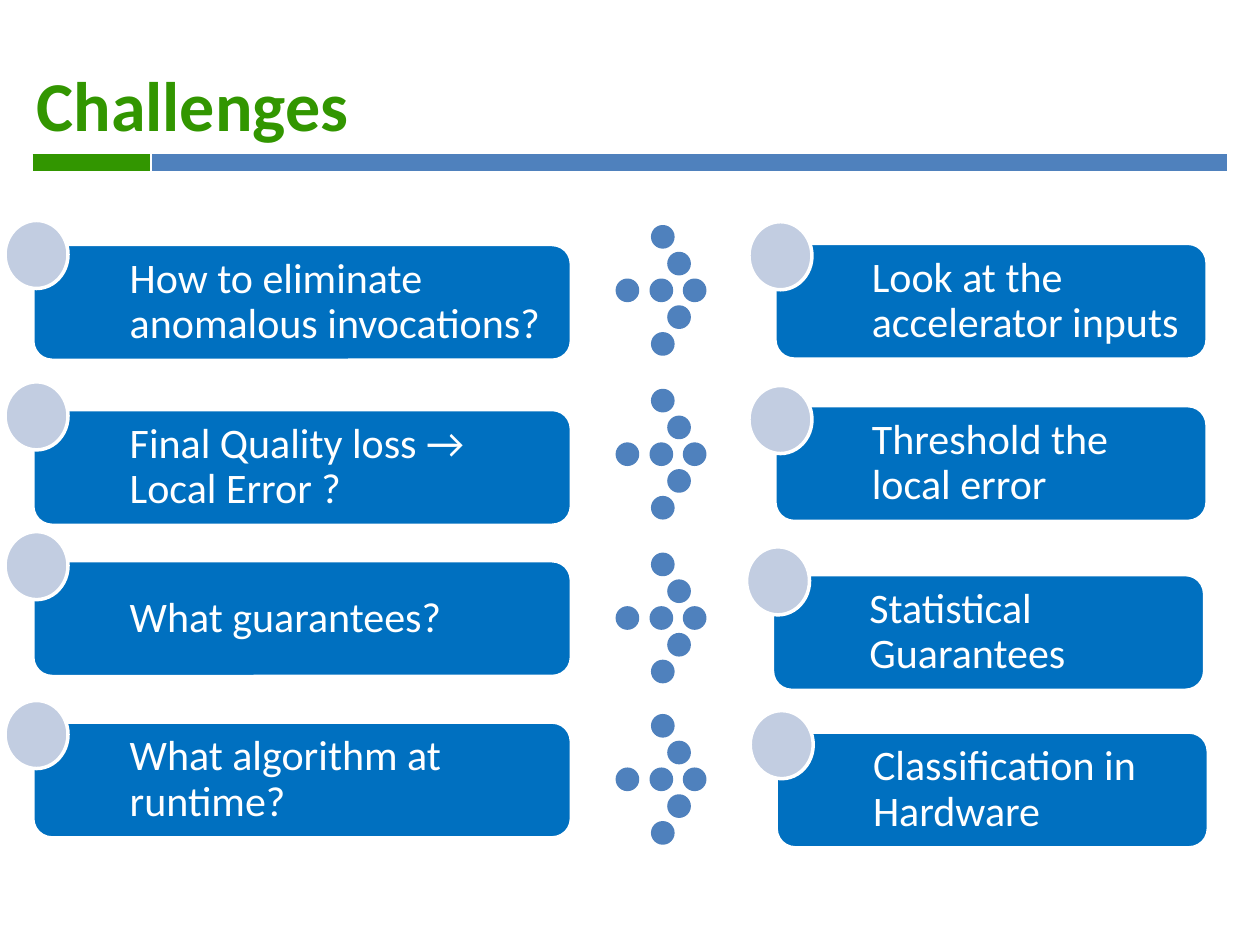
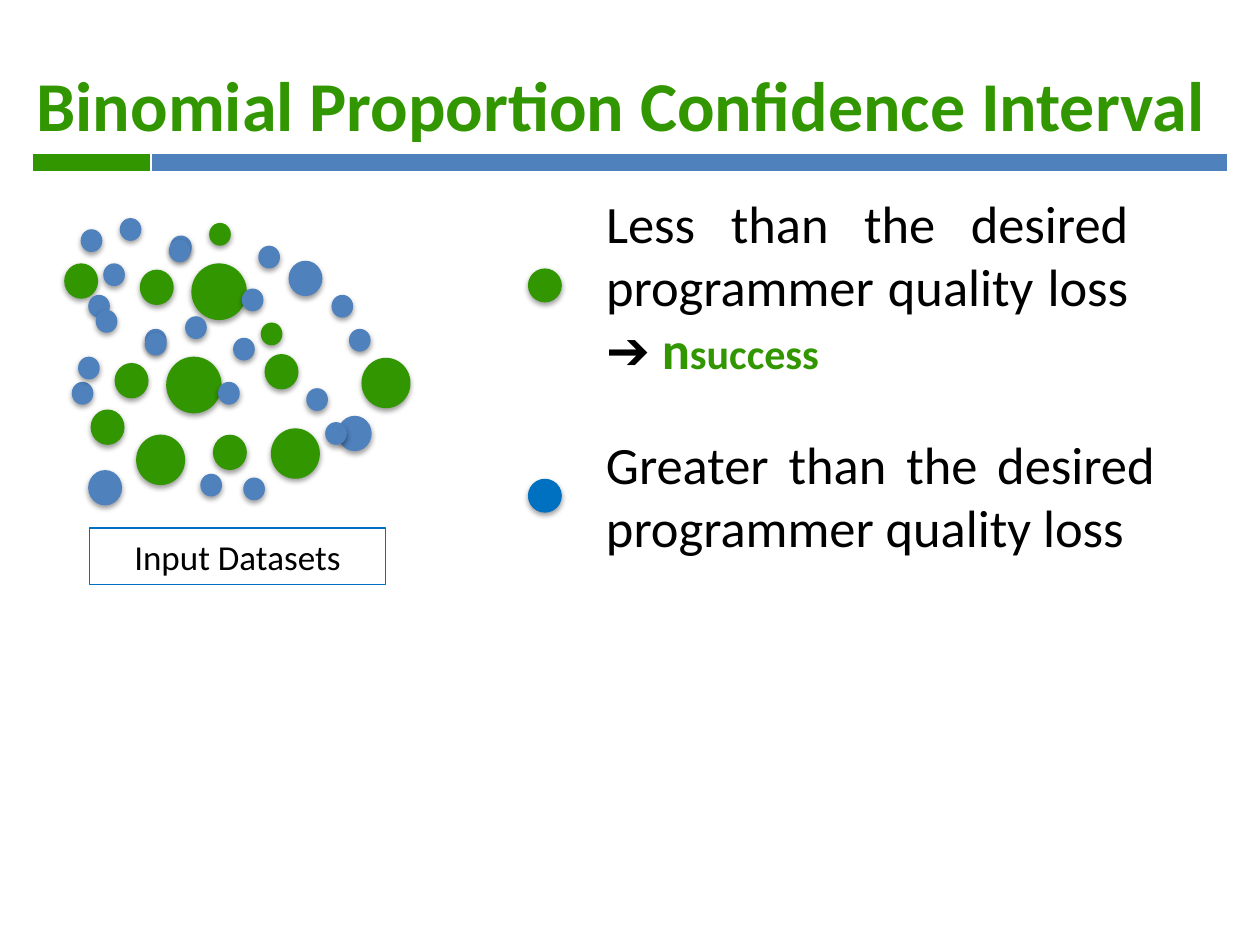
from lxml import etree
from pptx import Presentation
from pptx.dml.color import RGBColor
from pptx.enum.shapes import MSO_CONNECTOR as Connector, MSO_SHAPE as Shape
from pptx.enum.text import MSO_ANCHOR as Anchor, PP_ALIGN as Align
from pptx.oxml.ns import qn
from pptx.util import Pt

COLORS = {
    "green": "329600", "blue": "4F81BD", "deep": "0070C0",
    "badge": "C2CDE1", "white": "FFFFFF", "black": "000000",
}
FONT = "Calibri"
TITLE = {"size": Pt(40), "bold": True, "color": "green"}
CARD = {"size": Pt(24), "color": "white"}
LEGEND = {"size": Pt(30), "color": "black"}
LABEL = {"size": Pt(20), "color": "black"}

BANDS = [("blue", 87.1, 701.3), ("green", 18.7, 85.7)]
BAND_Y = 92.9

QUESTIONS = [
    ("How to eliminate anomalous invocations?", 18.7, 139.7, 126),
    ("Final Quality loss → Local Error ?", 18.7, 234, 218.2),
    ("What guarantees?", 18.7, 320.4, 303.8),
    ("What algorithm at runtime?", 18.7, 412.6, 400.3),
]
ANSWERS = [
    ("Look at the accelerator inputs", 442.8, 139, 126.7),
    ("Threshold the local error", 442.8, 231.8, 220.3),
    ("Statistical Guarantees", 441.4, 328.3, 312.5),
    ("Classification in Hardware", 443.5, 418.3, 406.1),
]
COLUMNS = [(QUESTIONS, 307.8, 15.8), (ANSWERS, 247, 14.8)]
CARD_HEIGHT = 66.2
CARD_INSETS = {"margin_left": 52.2, "margin_top": 10.5,
               "margin_right": 10.5, "margin_bottom": 10.5}

ARROW_TOPS = [129.6, 223.2, 316.8, 409]
ARROW_DOTS = [(373, 0), (382.3, 1), (391.2, 2), (382.3, 3),
              (373, 4), (372.2, 2), (352.8, 2)]
ARROW_DOT, ARROW_STEP = 11.5, 15.3

DATASETS = [
    ("green", 31.7, 32.4, [(109.4, 150.5), (95, 203.8)]),
    ("green", 28, 28.8, [(77.8, 248.4), (154.8, 244.8), (206.6, 204.5)]),
    ("green", 19.4, 20.2, [(79.9, 154.1), (51.8, 234), (121.7, 248.4),
                           (65.5, 207.4), (151.2, 202.3), (36.7, 150.5)]),
    ("blue", 19.4, 20.2, [(164.9, 149), (193, 237.6), (50.4, 268.6)]),
    ("green", 12.4, 13, [(119.5, 127.4), (149, 184.3)]),
    ("blue", 12.4, 13, [
        (50.4, 168.5), (59, 150.5), (97.2, 134.6), (147.6, 140.4),
        (189.4, 168.5), (199.4, 187.9), (41, 218.2), (114.5, 270.7),
        (139, 272.9), (44.6, 203.8), (82.8, 187.9), (105.8, 180.7),
        (133.2, 193), (175, 221.8), (185.8, 241.2), (46.1, 131),
        (68.4, 124.6), (96.5, 136.8), (138.2, 164.9), (54.7, 177.1),
        (82.8, 190.1), (124.6, 218.2)]),
    ("green", 19.4, 19.4, [(301.7, 153.4)]),
    ("deep", 19.4, 19.4, [(301.7, 273.6)]),
]
LEGENDS = [
    ((342.7, 105.1, 306, 115.9), [
        ("Less than the desired programmer quality loss ➔ ", LEGEND),
        ("n", LEGEND | {"color": "green", "bold": True}),
        ("success", LEGEND | {"color": "green", "bold": True, "size": Pt(24)})]),
    ((342.7, 243.4, 321.1, 79.2), [
        ("Greater than the desired programmer quality loss", LEGEND)]),
]


def rgb(name):
    return RGBColor.from_string(COLORS[name])


def write(box, spans, insets, align=Align.LEFT, spacing=None):
    frame = box.text_frame
    frame.word_wrap = True
    frame.vertical_anchor = Anchor.MIDDLE
    for side, inset in insets.items():
        setattr(frame, side, Pt(inset))
    para = frame.paragraphs[0]
    para.alignment = align
    para.line_spacing = spacing
    for text, style in spans:
        span = para.add_run()
        span.text = text
        span.font.name = FONT
        for key, value in style.items():
            if key == "color":
                span.font.color.rgb = rgb(value)
            else:
                setattr(span.font, key, value)


def even_insets(size):
    return {f"margin_{side}": size for side in ("left", "top", "right", "bottom")}


def add_text(page, place, spans, inset, align=Align.LEFT):
    box = page.shapes.add_textbox(*map(Pt, place))
    write(box, spans, even_insets(inset), align)


def add_figure(page, kind, place, fill=None, line=None, width=2):
    figure = page.shapes.add_shape(kind, *map(Pt, place))
    figure.shadow.inherit = False
    if fill:
        figure.fill.solid()
        figure.fill.fore_color.rgb = rgb(fill)
    else:
        figure.fill.background()
    if line:
        figure.line.color.rgb = rgb(line)
        figure.line.width = Pt(width)
    else:
        figure.line.fill.background()
    return figure


def add_shadow(figure):
    effects = figure.element.spPr.find(qn("a:effectLst"))
    shadow = etree.SubElement(effects, qn("a:outerShdw"), blurRad=str(Pt(3.1)),
                              dist=str(Pt(1.6)), dir="5400000", rotWithShape="0")
    color = etree.SubElement(shadow, qn("a:srgbClr"), val=COLORS["black"])
    etree.SubElement(color, qn("a:alpha"), val="38000")


def add_page(deck, title, title_width):
    page = deck.slides.add_slide(deck.slide_layouts[6])
    for color, start, end in BANDS:
        band = page.shapes.add_connector(
            Connector.STRAIGHT, Pt(start), Pt(BAND_Y), Pt(end), Pt(BAND_Y))
        band.line.color.rgb = rgb(color)
        band.line.width = Pt(10)
        etree.SubElement(band.element.spPr, qn("a:effectLst"))
    add_text(page, (18.7, 29.5, title_width, 59), [(title, TITLE)], 2.2)
    return page


def build_challenges(deck):
    page = add_page(deck, "Challenges", 607.7)
    for top in ARROW_TOPS:
        for left, row in ARROW_DOTS:
            place = (left, top + row * ARROW_STEP, ARROW_DOT, ARROW_DOT)
            add_figure(page, Shape.OVAL, place, "blue", "blue")
    for cards, width, badge_shift in COLUMNS:
        for text, left, top, badge_top in cards:
            card = add_figure(page, Shape.ROUNDED_RECTANGLE,
                              (left, top, width, CARD_HEIGHT), "deep", "white")
            write(card, [(text, CARD)], CARD_INSETS, spacing=0.9)
            add_figure(page, Shape.OVAL, (left - badge_shift, badge_top, 36, 38.9),
                       "badge", "white")


def build_interval(deck):
    page = add_page(deck, "Binomial Proportion Confidence Interval", 683.3)
    for color, width, height, spots in DATASETS:
        for left, top in spots:
            add_shadow(add_figure(page, Shape.OVAL, (left, top, width, height), color))
    for place, spans in LEGENDS:
        add_text(page, place, spans, 3.6, Align.JUSTIFY)
    label = add_figure(page, Shape.RECTANGLE, (51.1, 301.7, 169.2, 32.4),
                       line="deep", width=1)
    write(label, [("Input Datasets", LABEL)], even_insets(3.6), Align.CENTER)


def main():
    deck = Presentation()
    deck.slide_width, deck.slide_height = Pt(720), Pt(540)
    build_challenges(deck)
    build_interval(deck)
    deck.save("out.pptx")


if __name__ == "__main__":
    main()
